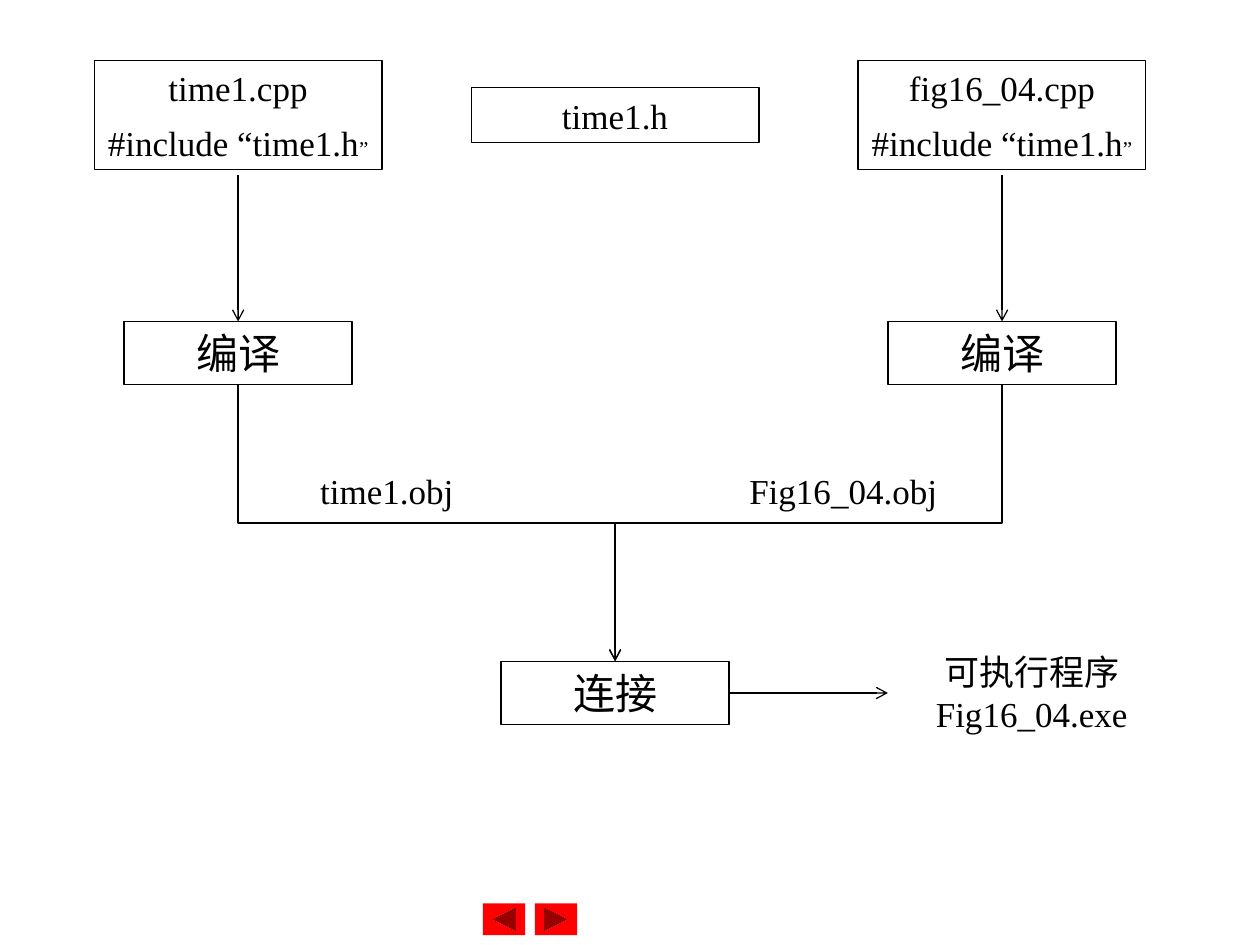
"""Build a slide showing how two source files are compiled and linked."""
from dataclasses import dataclass

import lxml.etree
import pptx
import pptx.dml.color
import pptx.enum.shapes
import pptx.enum.text
import pptx.oxml.ns
import pptx.util

Cm = pptx.util.Cm
Pt = pptx.util.Pt
SHAPES = pptx.enum.shapes.MSO_SHAPE
CONNECTORS = pptx.enum.shapes.MSO_CONNECTOR

BLACK, WHITE, RED = "000000", "FFFFFF", "FF0000"
LEFT, MIDDLE, RIGHT = 4.8, 12.4, 20.2
SOURCE_Y, COMPILE_Y, LABEL_Y, LINK_Y = 2.32, 7.12, 9.88, 13.97
STEP_WIDTH, STEP_HEIGHT = 4.6, 1.28
FILE_WIDTH = 5.8
FRAME_FORMAT = {
    "word_wrap": True,
    "auto_size": pptx.enum.text.MSO_AUTO_SIZE.SHAPE_TO_FIT_TEXT,
    "vertical_anchor": pptx.enum.text.MSO_ANCHOR.MIDDLE,
    "margin_left": Cm(0.25),
    "margin_right": Cm(0.25),
    "margin_top": Cm(0.13),
    "margin_bottom": Cm(0.13),
}


@dataclass(frozen=True)
class Box:
    """A text box placed by its centre, with lines made of (text, size) runs."""
    center_x: float
    center_y: float
    width: float
    height: float
    lines: tuple
    fill: str | None = None
    line: str = BLACK
    line_width: float = 0.75


@dataclass(frozen=True)
class Arrow:
    """A connector between two points, elbowed when both coordinates differ."""
    start_x: float
    start_y: float
    end_x: float
    end_y: float


def color(value: str) -> pptx.dml.color.RGBColor:
    """Turn a hex string into a colour."""
    return pptx.dml.color.RGBColor.from_string(value)


def set_attributes(target: object, values: dict) -> None:
    """Set each named attribute of the target."""
    for name, value in values.items():
        setattr(target, name, value)


def add_centered(slide, kind, center_x: float, center_y: float, width: float, height: float):
    """Add a shadowless preset shape around a centre."""
    shape = slide.shapes.add_shape(
        kind, Cm(center_x - width / 2), Cm(center_y - height / 2), Cm(width), Cm(height))
    shape.shadow.inherit = False
    return shape


def set_fill(shape, value: str | None) -> None:
    """Fill the shape with a colour, or leave it empty."""
    if value is None:
        shape.fill.background()
    else:
        shape.fill.solid()
        shape.fill.fore_color.rgb = color(value)


def add_box(slide, box: Box) -> None:
    """Draw a box with its centred text."""
    shape = add_centered(
        slide, SHAPES.RECTANGLE, box.center_x, box.center_y, box.width, box.height)
    set_fill(shape, box.fill)
    shape.line.color.rgb = color(box.line)
    shape.line.width = Pt(box.line_width)
    frame = shape.text_frame
    set_attributes(frame, FRAME_FORMAT)
    for index, runs in enumerate(box.lines):
        paragraph = frame.add_paragraph() if index else frame.paragraphs[0]
        paragraph.alignment = pptx.enum.text.PP_ALIGN.CENTER
        if index:
            paragraph.space_before = Pt(7.5)
        for text, size in runs:
            run = paragraph.add_run()
            run.text = text
            set_attributes(run.font, {"name": "Times New Roman", "size": Pt(size)})
            run.font.color.rgb = color(BLACK)


def add_arrow(slide, arrow: Arrow) -> None:
    """Draw a straight arrow, or an elbow that leaves its start vertically."""
    points = (arrow.start_x, arrow.start_y, arrow.end_x, arrow.end_y)
    kind, rotation = CONNECTORS.STRAIGHT, 0
    run, rise = arrow.end_x - arrow.start_x, arrow.end_y - arrow.start_y
    if run and rise:
        kind, rotation = CONNECTORS.ELBOW, 270 if run > 0 else 90
        center_x, center_y = arrow.start_x + run / 2, arrow.start_y + rise / 2
        half_width = -rise / 2 if run > 0 else rise / 2
        half_height = abs(run) / 2
        points = (center_x - half_width, center_y - half_height,
                  center_x + half_width, center_y + half_height)
    connector = slide.shapes.add_connector(kind, *(Cm(value) for value in points))
    connector.line.color.rgb = color(BLACK)
    connector.line.width = Pt(0.75)
    qn = pptx.oxml.ns.qn
    properties = connector.element.spPr
    if rotation:
        properties.find(qn("a:xfrm")).set("rot", str(rotation * 60000))
    lxml.etree.SubElement(properties.find(qn("a:ln")), qn("a:tailEnd"), type="arrow")
    lxml.etree.SubElement(properties, qn("a:effectLst"))


def add_button(slide, center_x: float, rotation: int) -> None:
    """Draw a red navigation button."""
    button = add_centered(
        slide, SHAPES.ACTION_BUTTON_FORWARD_OR_NEXT, center_x, 18.53, 0.85, 0.64)
    set_fill(button, RED)
    button.line.fill.background()
    button.rotation = rotation


def source_box(center_x: float, name: str) -> Box:
    """Describe a source file that includes the header."""
    lines = (((name, 20),), (("#include “time1.h", 20), ("”", 12)))
    return Box(center_x, SOURCE_Y, FILE_WIDTH, 2.21, lines)


def step_box(center_x: float, center_y: float, name: str) -> Box:
    """Describe a build step."""
    return Box(center_x, center_y, STEP_WIDTH, STEP_HEIGHT, (((name, 24),),))


def label_box(center_x: float, center_y: float, height: float, name: str) -> Box:
    """Describe a white label for a build product."""
    return Box(center_x, center_y, FILE_WIDTH, height, (((name, 20),),), WHITE, WHITE, 2)


def main() -> None:
    """Build and save the slide."""
    presentation = pptx.Presentation()
    set_attributes(presentation, {"slide_width": Cm(25.4), "slide_height": Cm(19.05)})
    slide = presentation.slides.add_slide(presentation.slide_layouts[6])
    half_step = STEP_HEIGHT / 2

    for center_x, rotation in ((11.21, 0), (10.16, 180)):
        add_button(slide, center_x, rotation)
    for box in (
        source_box(LEFT, "time1.cpp"),
        source_box(RIGHT, "fig16_04.cpp"),
        Box(MIDDLE, SOURCE_Y, FILE_WIDTH, 1.12, ((("time1.h", 20),),)),
        step_box(LEFT, COMPILE_Y, "编译"),
        step_box(RIGHT, COMPILE_Y, "编译"),
        step_box(MIDDLE, LINK_Y, "连接"),
    ):
        add_box(slide, box)
    for center_x in (LEFT, RIGHT):
        add_arrow(slide, Arrow(center_x, 3.53, center_x, COMPILE_Y - half_step))
        add_arrow(slide, Arrow(center_x, COMPILE_Y + half_step, MIDDLE, LINK_Y - half_step))
    for label in (
        label_box(7.8, LABEL_Y, 1.12, "time1.obj"),
        label_box(17, LABEL_Y, 1.12, "Fig16_04.obj"),
        label_box(20.8, LINK_Y, 1.96, "可执行程序Fig16_04.exe"),
    ):
        add_box(slide, label)
    add_arrow(slide, Arrow(MIDDLE + STEP_WIDTH / 2, LINK_Y, 17.9, LINK_Y))
    presentation.save("out.pptx")


if __name__ == "__main__":
    main()
